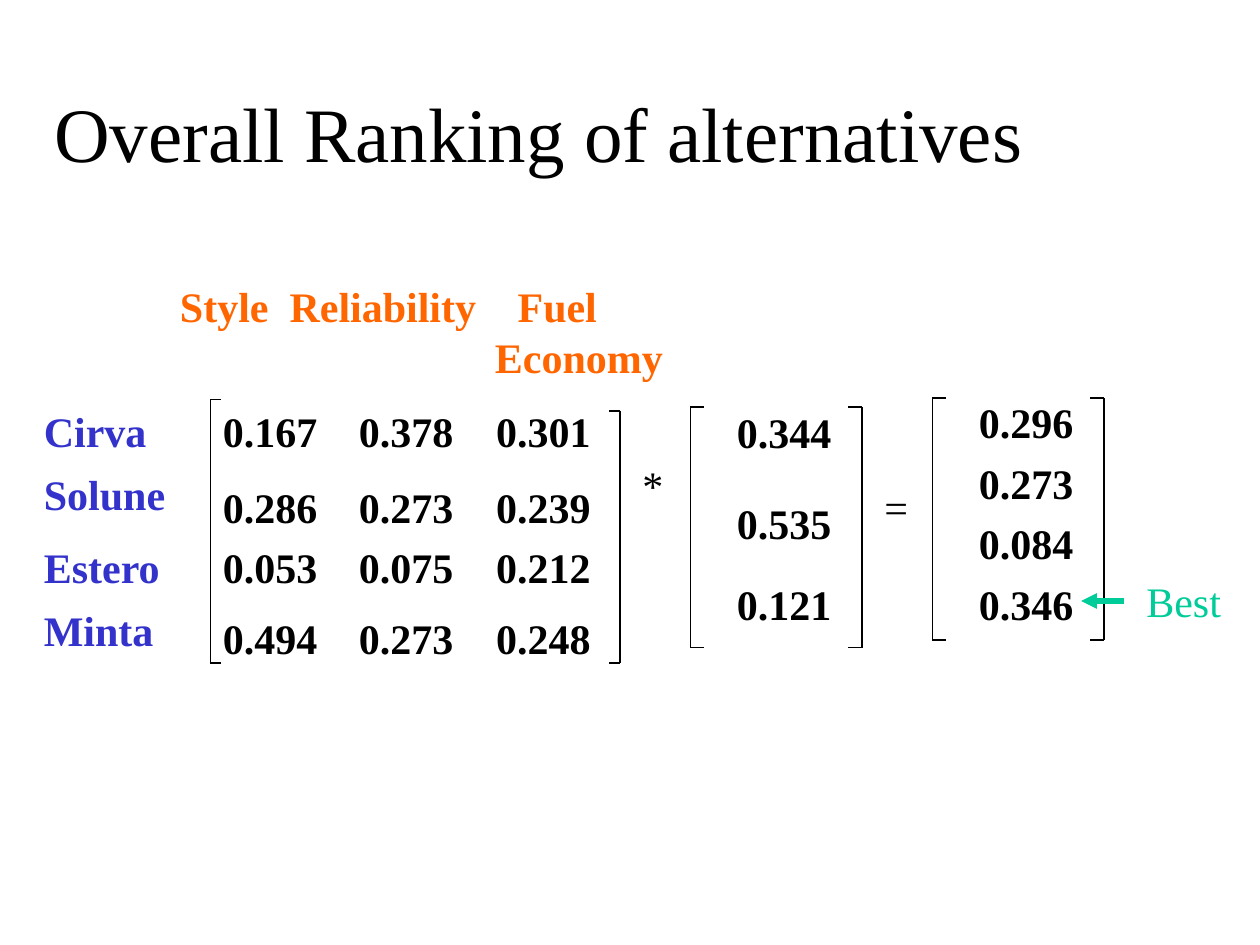
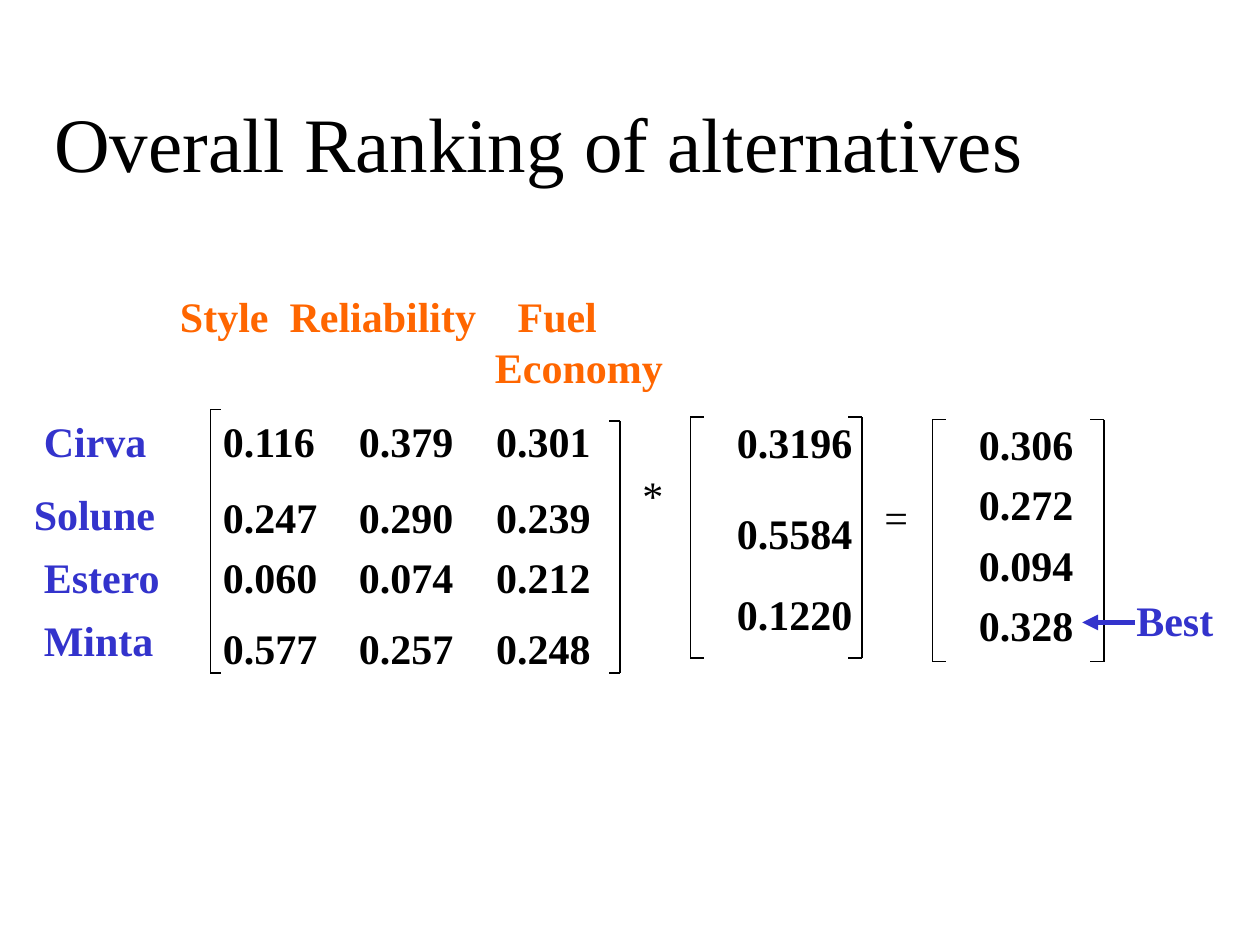
from lxml.etree import SubElement
from pptx import Presentation
from pptx.dml.color import RGBColor
from pptx.enum.shapes import MSO_CONNECTOR as CONNECTOR
from pptx.enum.text import MSO_ANCHOR as ANCHOR, MSO_AUTO_SIZE as AUTO_SIZE, PP_ALIGN as ALIGN
from pptx.oxml.ns import qn
from pptx.util import Inches, Pt

FONT = "Times New Roman"
BLACK = RGBColor(0x00, 0x00, 0x00)
ORANGE = RGBColor(0xFF, 0x66, 0x00)
BLUE = RGBColor(0x33, 0x33, 0xCC)
GREEN = RGBColor(0x00, 0xCC, 0x99)

TITLE = "Overall Ranking of alternatives"
CRITERIA = ["Style\tReliability\tFuel", "Economy"]
CRITERIA_TABS = [0.87, 2.68]
ECONOMY_INDENT = 2.5
SCORE_TABS = [1.08, 2.17]
SCORE_SPACING = [1, 1.5, 1.2, 1.4]
WEIGHT_SPACING = [1.2, 1.8, 1.6]
RANK_SPACING = [1, 1.2, 1.2, 1.2]

RANKINGS = [
    {
        "shift": 0,
        "rank_shift": 0,
        "cars": [("Cirva", 0.25, 3.17), ("Solune", 0.25, 3.67),
                 ("Estero", 0.25, 4.25), ("Minta", 0.25, 4.75)],
        "scores": [("0.167", "0.378", "0.301"), ("0.286", "0.273", "0.239"),
                   ("0.053", "0.075", "0.212"), ("0.494", "0.273", "0.248")],
        "weights": ["0.344", "0.535", "0.121"],
        "ranks": ["0.296", "0.273", "0.084", "0.346"],
        "best": {"left": 9, "top": 4.52, "color": GREEN, "bold": False},
        "arrow": (8.92, 8.58, 4.77),
    },
    {
        "shift": 0.08,
        "rank_shift": 0.17,
        "cars": [("Cirva", 0.25, 3.25), ("Solune", 0.17, 3.83),
                 ("Estero", 0.25, 4.33), ("Minta", 0.25, 4.83)],
        "scores": [("0.116", "0.379", "0.301"), ("0.247", "0.290", "0.239"),
                   ("0.060", "0.074", "0.212"), ("0.577", "0.257", "0.248")],
        "weights": ["0.3196", "0.5584", "0.1220"],
        "ranks": ["0.306", "0.272", "0.094", "0.328"],
        "best": {"left": 8.92, "top": 4.67, "color": BLUE, "bold": True},
        "arrow": (9.01, 8.59, 4.94),
    },
]


def write(paragraph, words, size, color, bold=False):
    run = paragraph.add_run()
    run.text = words
    run.font.name = FONT
    run.font.size = Pt(size)
    run.font.bold = bold
    run.font.color.rgb = color


def set_tabs(paragraph, stops):
    tab_list = SubElement(paragraph._p.get_or_add_pPr(), qn("a:tabLst"))
    for stop in stops:
        SubElement(tab_list, qn("a:tab"), pos=str(Inches(stop)), algn="l")


def add_lines(slide, lines, left, top, width, height=0.5, color=BLACK, bold=True,
              spacing=None, tabs=()):
    frame = slide.shapes.add_textbox(
        Inches(left), Inches(top), Inches(width), Inches(height)).text_frame
    frame.word_wrap = True
    for index, words in enumerate(lines):
        paragraph = frame.paragraphs[0] if index == 0 else frame.add_paragraph()
        if spacing:
            paragraph.line_spacing = float(spacing[index])
        if tabs:
            set_tabs(paragraph, tabs)
        write(paragraph, words, 24, color, bold)
    return frame


def add_line(slide, x1, y1, x2, y2, color=BLACK, weight=1):
    line = slide.shapes.add_connector(
        CONNECTOR.STRAIGHT, Inches(x1), Inches(y1), Inches(x2), Inches(y2))
    line.line.color.rgb = color
    line.line.width = Pt(weight)
    SubElement(line._element.spPr, qn("a:effectLst"))
    return line


def add_bracket(slide, x, top, bottom, tick):
    add_line(slide, x, top, x, bottom)
    for y in (top, bottom):
        add_line(slide, x, y, x + tick, y)


def add_title(slide, top):
    title = slide.shapes.title
    title.left, title.top = Inches(0.33), Inches(top)
    title.width, title.height = Inches(8.5), Inches(1.25)
    frame = title.text_frame
    frame.auto_size = AUTO_SIZE.NONE
    frame.vertical_anchor = ANCHOR.MIDDLE
    frame.paragraphs[0].alignment = ALIGN.LEFT
    write(frame.paragraphs[0], TITLE, 44, BLACK)


def add_ranking(deck, ranking):
    slide = deck.slides.add_slide(deck.slide_layouts[5])
    shift, rank_shift = ranking["shift"], ranking["rank_shift"]
    add_title(slide, 0.42 + shift)

    criteria = add_lines(slide, CRITERIA, 1.33, 2.18 + shift, 4.99, 0.9, ORANGE,
                         tabs=CRITERIA_TABS)
    economy = criteria.paragraphs[1]._p.get_or_add_pPr()
    economy.set("marL", str(Inches(ECONOMY_INDENT)))
    economy.set("indent", "0")

    for car, left, top in ranking["cars"]:
        add_lines(slide, [car], left, top, 1.2, color=BLUE)

    scores = ["\t".join(row) for row in ranking["scores"]]
    add_lines(slide, scores, 1.67, 3.17 + shift, 3.2, 2.7,
              spacing=SCORE_SPACING, tabs=SCORE_TABS)
    add_bracket(slide, 1.67, 3.17 + shift, 5.26 + shift, 0.08)
    add_bracket(slide, 4.92, 3.26 + shift, 5.26 + shift, -0.09)

    add_lines(slide, ["*"], 5, 3.6 + shift, 0.4, bold=False)
    add_lines(slide, ranking["weights"], 5.75, 3.1 + shift, 1.15, 2.58,
              spacing=WEIGHT_SPACING)
    add_lines(slide, ["="], 6.92, 3.77 + shift, 0.4, bold=False)
    add_lines(slide, ranking["ranks"], 7.67, 3.1 + rank_shift, 1, 1.94,
              spacing=RANK_SPACING)
    for left, right, top, bottom in [
        (5.48, 6.84, 3.23 + shift, 5.14 + shift),
        (7.4, 8.76, 3.16 + rank_shift, 5.08 + rank_shift),
    ]:
        add_bracket(slide, left, top, bottom, 0.11)
        add_bracket(slide, right, top, bottom, -0.11)

    best = ranking["best"]
    add_lines(slide, ["Best"], width=0.92, **best)
    start, end, y = ranking["arrow"]
    arrow = add_line(slide, start, y, end, y, best["color"], 3)
    SubElement(arrow.line._get_or_add_ln(), qn("a:tailEnd"), type="triangle")


def main():
    deck = Presentation()
    deck.slide_width, deck.slide_height = Inches(10), Inches(7.5)
    for ranking in RANKINGS:
        add_ranking(deck, ranking)
    deck.save("out.pptx")


if __name__ == "__main__":
    main()
